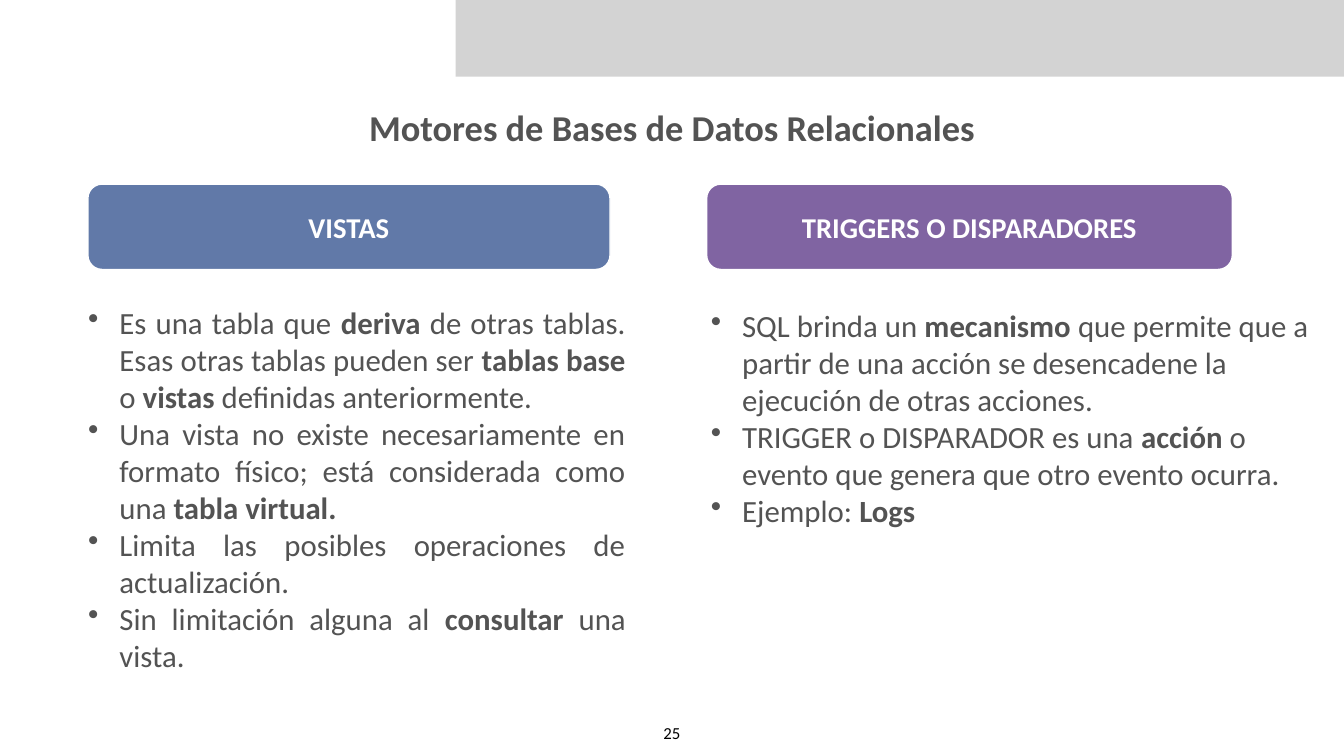
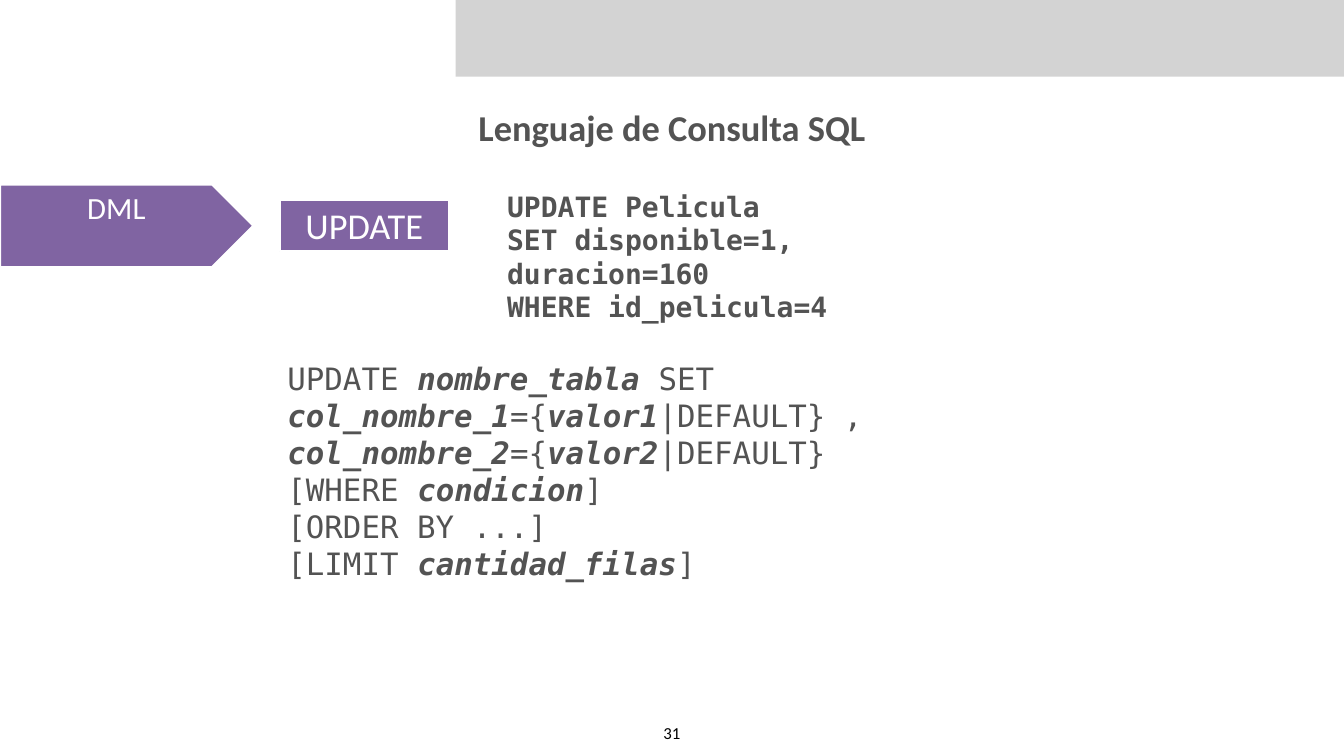
from lxml import etree
from pptx import Presentation
from pptx.dml.color import RGBColor
from pptx.enum.shapes import MSO_SHAPE
from pptx.enum.text import MSO_ANCHOR, MSO_AUTO_SIZE, PP_ALIGN
from pptx.oxml.ns import qn
from pptx.util import Pt

RECTANGLE, ROUNDED, PENTAGON = (
    MSO_SHAPE.RECTANGLE, MSO_SHAPE.ROUNDED_RECTANGLE, MSO_SHAPE.PENTAGON)
TOP, MIDDLE = MSO_ANCHOR.TOP, MSO_ANCHOR.MIDDLE
LEFT, CENTER, JUSTIFY = PP_ALIGN.LEFT, PP_ALIGN.CENTER, PP_ALIGN.JUSTIFY
NO_AUTO_SIZE = MSO_AUTO_SIZE.NONE

WHITE = RGBColor(0xFF, 0xFF, 0xFF)
BLACK = RGBColor(0, 0, 0)
GRAY = RGBColor(0x53, 0x53, 0x53)
BAND = RGBColor(0xD3, 0xD3, 0xD3)
BLUE = RGBColor(0x61, 0x79, 0xA8)
PURPLE = RGBColor(0x80, 0x64, 0xA2)

SANS, MONO = "Calibri", "DejaVu Sans Mono"
WIDTH, HEIGHT = 1920, 1080
INSET = 6
BULLET_INDENT = 44.64


class Deck:
    """Holds the shared style and the slide being drawn."""

    def __init__(self):
        self.presentation = Presentation()
        self.presentation.slide_width = Pt(WIDTH)
        self.presentation.slide_height = Pt(HEIGHT)
        self.layout = self.presentation.slide_layouts[5]
        self.slide = None

    def start_slide(self, title, number):
        first = self.slide is None
        self.slide = self.presentation.slides.add_slide(self.layout)
        if first:
            self.add_band_to_layout()
        heading = self.slide.shapes.title
        heading.left, heading.top = Pt(381), Pt(145)
        heading.width, heading.height = Pt(1158), Pt(74)
        self.fill_text(heading, [title], 52, align=CENTER, anchor=MIDDLE, bold=True)
        self.text((WIDTH / 2 - 18, 1027, 36, 40), [str(number)], 24,
                  color=BLACK, align=CENTER, wrap=False)

    def add_band_to_layout(self):
        """Draw the top band once and move it to the layout all slides use."""
        band = self.block(RECTANGLE, (651, 0, WIDTH - 651, 109.5), BAND)
        self.layout.shapes.element.append(band.element)

    def block(self, kind, box, fill, line_width=0):
        shape = self.slide.shapes.add_shape(kind, *map(Pt, box))
        shape.shadow.inherit = False
        shape.fill.solid()
        shape.fill.fore_color.rgb = fill
        if line_width:
            shape.line.color.rgb = WHITE
            shape.line.width = Pt(line_width)
        else:
            shape.line.fill.background()
        return shape

    def label(self, kind, box, fill, caption, size, line_width=3,
              anchor=MIDDLE, bold=False):
        shape = self.block(kind, box, fill, line_width)
        self.fill_text(shape, [caption], size, color=WHITE, align=CENTER,
                       anchor=anchor, bold=bold)

    def text(self, box, lines, size, **style):
        shape = self.slide.shapes.add_textbox(*map(Pt, box))
        self.fill_text(shape, lines, size, **style)

    def fill_text(self, shape, lines, size, font=SANS, color=GRAY, align=LEFT,
                  anchor=TOP, bold=False, italic_marks=False, bullets=False,
                  wrap=True):
        """Fill a shape with paragraphs; text between asterisks is emphasised."""
        frame = shape.text_frame
        frame.word_wrap = wrap
        frame.auto_size = NO_AUTO_SIZE
        frame.vertical_anchor = anchor
        frame.margin_left = frame.margin_right = Pt(INSET)
        frame.margin_top = frame.margin_bottom = Pt(INSET)
        for index, line in enumerate(lines):
            paragraph = frame.add_paragraph() if index else frame.paragraphs[0]
            paragraph.alignment = align
            if bullets:
                self.add_bullet(paragraph)
            paragraph.font.name = font
            paragraph.font.size = Pt(size)
            paragraph.font.color.rgb = color
            paragraph.font.bold = bold
            for position, part in enumerate(line.split("*")):
                if part:
                    run = paragraph.add_run()
                    run.text = part
                    if position % 2:
                        run.font.bold = True
                        if italic_marks:
                            run.font.italic = True

    def add_bullet(self, paragraph):
        properties = paragraph._p.get_or_add_pPr()
        properties.set("marL", str(Pt(BULLET_INDENT)))
        properties.set("indent", str(-Pt(BULLET_INDENT)))
        etree.SubElement(properties, qn("a:buChar")).set("char", "•")


def add_views_and_triggers(deck):
    deck.start_slide("Motores de Bases de Datos Relacionales", 25)
    deck.label(ROUNDED, (125.5, 263, 746, 122), BLUE, "VISTAS", 41, 2, bold=True)
    deck.label(ROUNDED, (1009.5, 263, 751, 122), PURPLE,
               "TRIGGERS O DISPARADORES", 41, 2, bold=True)
    deck.text((120, 428.5, 780, 597.5), [
        "Es una tabla que *deriva* de otras tablas. Esas otras tablas pueden ser "
        "*tablas base* o *vistas* definidas anteriormente.",
        "Una vista no existe necesariamente en formato físico; está considerada "
        "como una *tabla virtual.*",
        "Limita las posibles operaciones de actualización.",
        "Sin limitación alguna al *consultar* una vista.",
    ], 44, align=JUSTIFY, bullets=True)
    deck.text((1009.5, 432, 868.5, 438), [
        "SQL brinda un *mecanismo* que permite que a partir de una acción se "
        "desencadene la ejecución de otras acciones.",
        "TRIGGER o DISPARADOR es una *acción* o evento que genera que otro "
        "evento ocurra.",
        "Ejemplo: *Logs*",
    ], 44, bullets=True)


def add_update_statement(deck):
    deck.start_slide("Lenguaje de Consulta SQL", 31)
    deck.text((404.5, 508.5, 996, 331), [
        "UPDATE *nombre_tabla* SET *col_nombre_1*={*valor1*|DEFAULT} , "
        "*col_nombre_2*={*valor2*|DEFAULT}",
        "[WHERE *condicion*]",
        "[ORDER BY ...]",
        "[LIMIT *cantidad_filas*]",
    ], 44, font=MONO, italic_marks=True)
    deck.text((718.5, 267, 682, 198), [
        "UPDATE Pelicula",
        "SET disponible=1, duracion=160",
        "WHERE id_pelicula=4",
    ], 40, font=MONO, anchor=MIDDLE, bold=True)
    deck.label(PENTAGON, (0, 263.5, 362, 118), PURPLE, "DML", 44, anchor=TOP)
    deck.label(RECTANGLE, (400, 285, 241, 74), PURPLE, "UPDATE", 52)


def main():
    deck = Deck()
    add_views_and_triggers(deck)
    add_update_statement(deck)
    deck.presentation.save("out.pptx")


if __name__ == "__main__":
    main()
